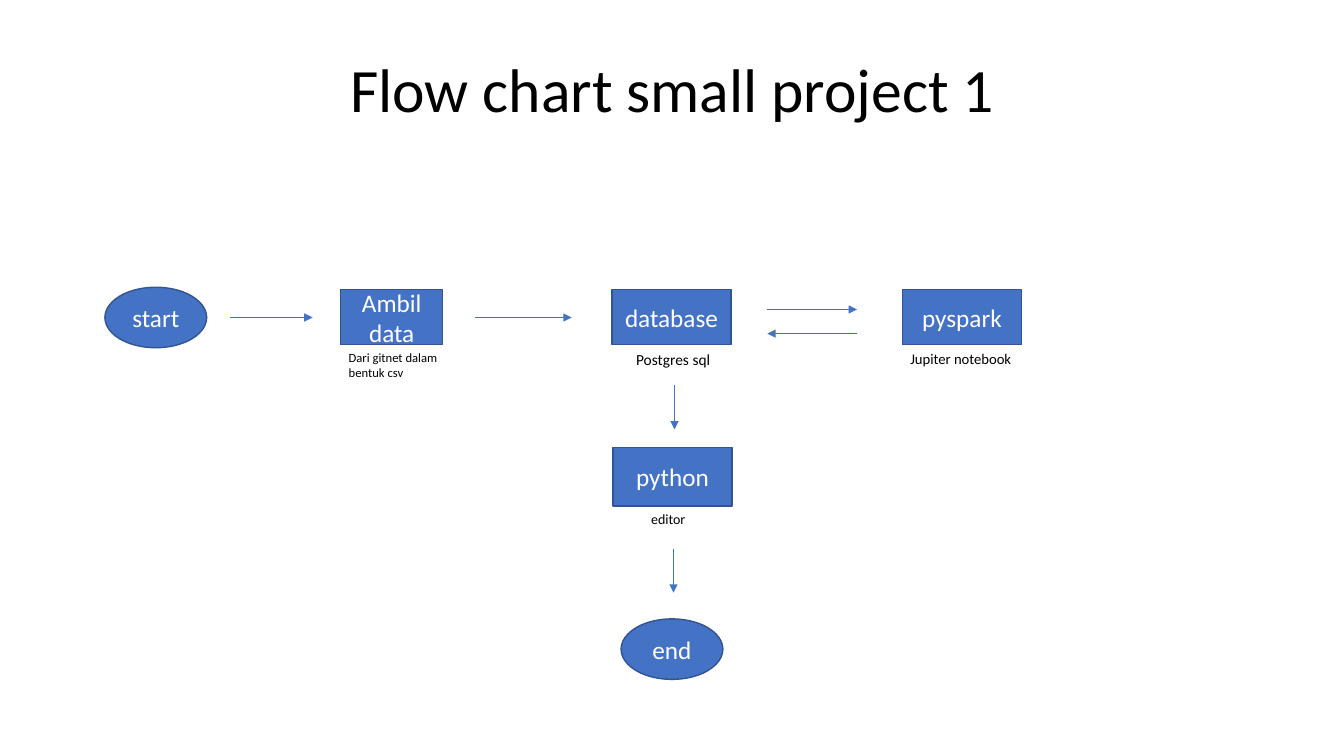
from lxml import etree
from pptx import Presentation
from pptx.dml.color import RGBColor
from pptx.enum import shapes, text
from pptx.oxml.ns import qn
from pptx.util import Inches, Pt

COLORS = {"fill": "4472C4", "outline": "325491", "light": "FFFFFF", "dark": "000000"}
FONT = "Calibri"
TITLE = "Flow chart small project 1"
OVAL = shapes.MSO_SHAPE.OVAL
BOX = shapes.MSO_SHAPE.RECTANGLE

# Steps: label, shape, left, top, width, height
STEPS = [
    ("start", OVAL, 1.04, 2.85, 1.01, 0.6),
    ("Ambil data", BOX, 3.38, 2.87, 1.01, 0.55),
    ("database", BOX, 6.07, 2.87, 1.18, 0.55),
    ("pyspark", BOX, 8.95, 2.87, 1.18, 0.55),
    ("python", BOX, 6.08, 4.44, 1.18, 0.58),
    ("end", OVAL, 6.16, 6.14, 1.01, 0.6),
]
# Captions: text, left, top, width, height, size, wrap
CAPTIONS = [
    ("Dari gitnet dalam bentuk csv", 3.36, 3.42, 1.11, 0.4, 9, True),
    ("Postgres sql", 6.21, 3.42, 0.95, 0.29, 11, True),
    ("Jupiter notebook", 8.93, 3.42, 1.22, 0.28, 10.5, False),
    ("editor", 6.36, 5.02, 0.66, 0.27, 10, True),
]
# Arrows: start x, start y, end x, end y
ARROWS = [
    (2.28, 3.15, 3.1, 3.15),
    (4.71, 3.15, 5.67, 3.15),
    (7.61, 3.07, 8.5, 3.07),
    (8.5, 3.31, 7.61, 3.31),
    (6.69, 3.82, 6.69, 4.26),
    (6.68, 5.45, 6.68, 5.88),
]


def color(name):
    return RGBColor.from_string(COLORS[name])


def write(shape, content, size, font_color, alignment):
    shape.text_frame.text = content
    paragraph = shape.text_frame.paragraphs[0]
    paragraph.alignment = alignment
    paragraph.font.name = FONT
    paragraph.font.size = Pt(size)
    paragraph.font.color.rgb = color(font_color)
    return paragraph


def add_step(slide, label, kind, *place):
    shape = slide.shapes.add_shape(kind, *map(Inches, place))
    shape.shadow.inherit = False
    shape.fill.solid()
    shape.fill.fore_color.rgb = color("fill")
    shape.line.color.rgb = color("outline")
    shape.line.width = Pt(1)
    shape.text_frame.word_wrap = True
    shape.text_frame.vertical_anchor = text.MSO_ANCHOR.MIDDLE
    write(shape, label, 18, "light", text.PP_ALIGN.CENTER)


def add_caption(slide, content, left, top, width, height, size, wrap):
    shape = slide.shapes.add_textbox(*map(Inches, (left, top, width, height)))
    shape.text_frame.word_wrap = wrap
    shape.text_frame.auto_size = text.MSO_AUTO_SIZE.SHAPE_TO_FIT_TEXT
    write(shape, content, size, "dark", text.PP_ALIGN.LEFT)


def add_arrow(slide, *ends):
    arrow = slide.shapes.add_connector(shapes.MSO_CONNECTOR.STRAIGHT, *map(Inches, ends))
    arrow.line.color.rgb = color("fill")
    arrow.line.width = Pt(0.5)
    etree.SubElement(arrow.line._get_or_add_ln(), qn("a:tailEnd"), type="triangle")
    etree.SubElement(arrow._element.spPr, qn("a:effectLst"))


def main():
    presentation = Presentation()
    presentation.slide_width = Inches(13.33)
    presentation.slide_height = Inches(7.5)
    slide = presentation.slides.add_slide(presentation.slide_layouts[5])

    # Title
    title = slide.shapes.title
    title.left, title.top, title.width, title.height = map(Inches, (0.92, 0.4, 11.5, 1.04))
    title.text_frame.vertical_anchor = text.MSO_ANCHOR.MIDDLE
    write(title, TITLE, 44, "dark", text.PP_ALIGN.CENTER).line_spacing = 0.9

    # Flow chart
    for step in STEPS:
        add_step(slide, *step)
    for caption in CAPTIONS:
        add_caption(slide, *caption)
    for arrow in ARROWS:
        add_arrow(slide, *arrow)

    presentation.save("out.pptx")


if __name__ == "__main__":
    main()
